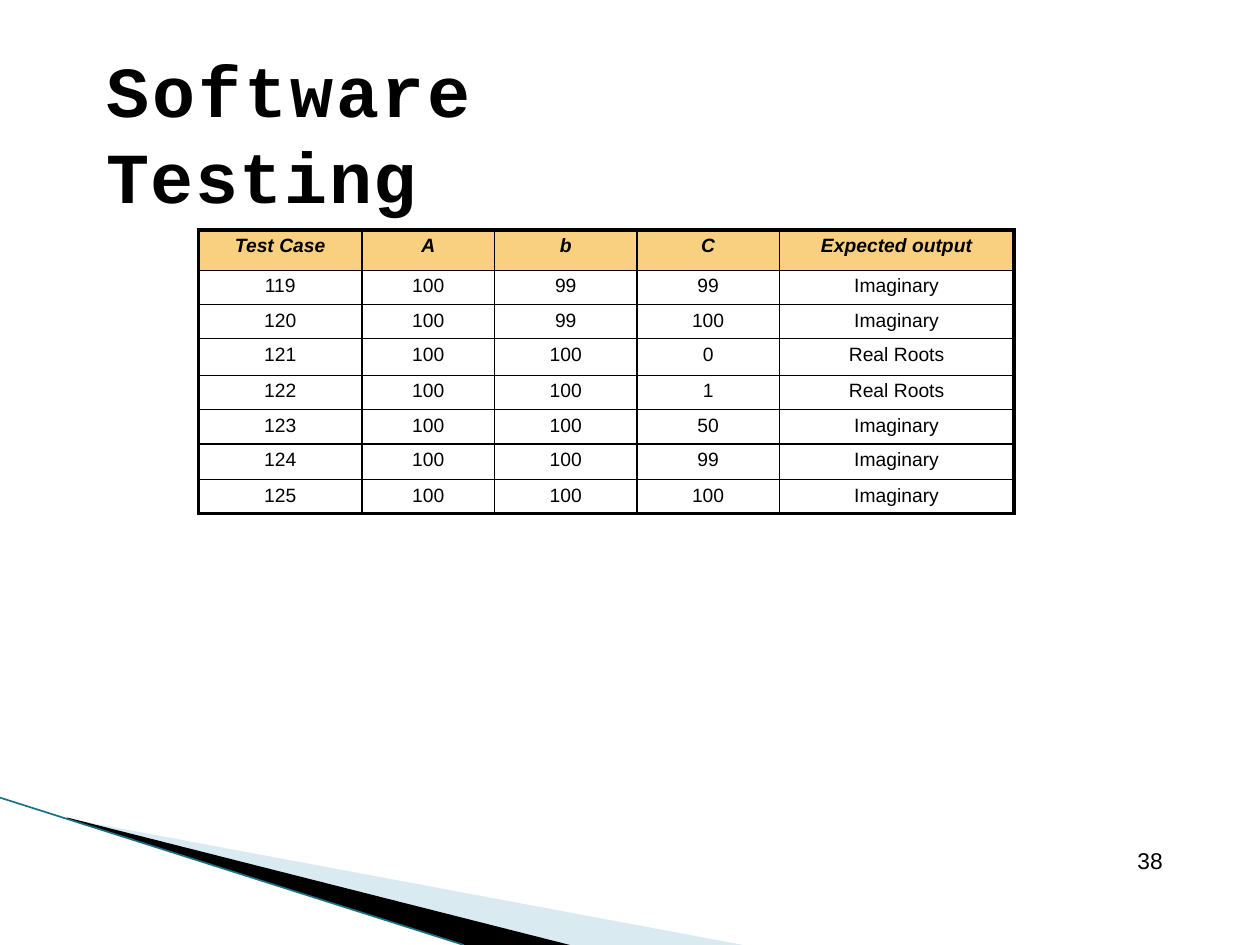
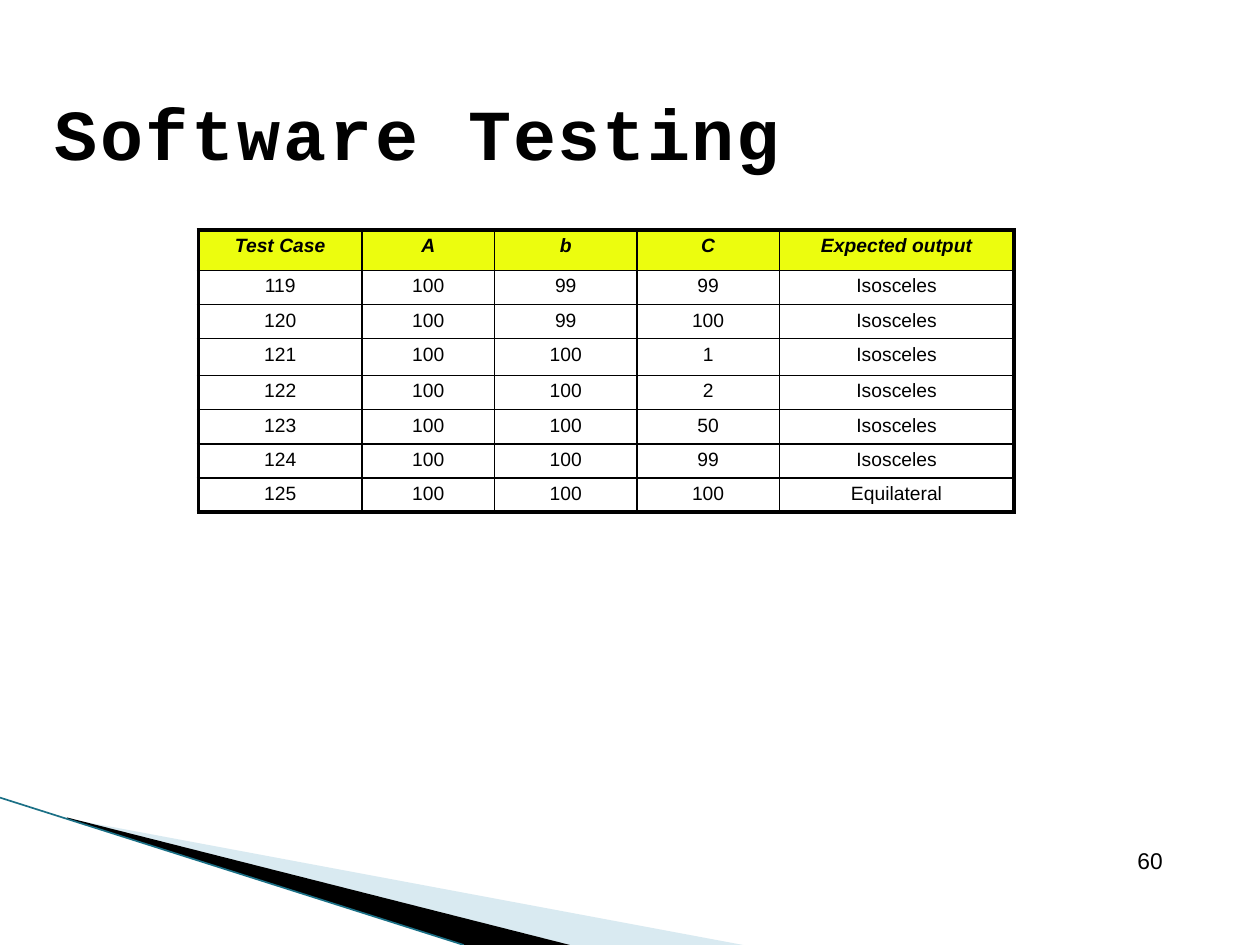
from dataclasses import dataclass

from lxml.etree import SubElement
from pptx import Presentation
from pptx.dml.color import RGBColor
from pptx.enum.shapes import MSO_CONNECTOR
from pptx.enum.text import MSO_ANCHOR, MSO_AUTO_SIZE, PP_ALIGN
from pptx.oxml.ns import qn
from pptx.shapes.autoshape import Shape
from pptx.slide import Slide
from pptx.table import _Cell
from pptx.util import Cm, Pt

BLACK = RGBColor(0x00, 0x00, 0x00)
PALE_BLUE = RGBColor(0xA0, 0xCB, 0xDC)
TEAL = RGBColor(0x1B, 0x70, 0x86)
AMBER = RGBColor(0xF8, 0xD0, 0x7F)
YELLOW = RGBColor(0xEC, 0xFD, 0x0E)

TITLE_FONT = "Courier New"
BODY_FONT = "Arial"
THIN, THICK = Pt(1), Pt(2.25)

TITLE_RIGHT = 16.61
COLUMN_WIDTHS = (3.3, 2.67, 2.87, 2.87, 4.73)
HEADINGS = ("Test Case", "A", "b", "C", "Expected output")
FIRST_CASE = 119


@dataclass(frozen=True)
class Wedge:
    frame: tuple[float, float, float, float]
    points: tuple[tuple[float, float], ...]
    color: RGBColor
    opacity: int = 100


@dataclass(frozen=True)
class TestPage:
    number: int
    title_left: float
    header_color: RGBColor
    row_heights: tuple[float, ...]
    cases: tuple[tuple[int, int, int, str], ...]


WEDGES = (
    Wedge((1.98, 13.89, 10.57, 4.01),
          ((1.4, 16.51), (14.98, 19.05), (11.48, 19.05), (1.4, 16.5)), PALE_BLUE, 40),
    Wedge((-0.15, 16.08, 10.57, 2.34),
          ((1.35, 16.48), (11.49, 19.05), (9.35, 19.05), (1.37, 16.51)), BLACK),
)

PAGES = (
    TestPage(38, 2.14, AMBER, (0.81, 0.69, 0.69, 0.74, 0.69, 0.69, 0.72, 0.69), (
        (100, 99, 99, "Imaginary"),
        (100, 99, 100, "Imaginary"),
        (100, 100, 0, "Real Roots"),
        (100, 100, 1, "Real Roots"),
        (100, 100, 50, "Imaginary"),
        (100, 100, 99, "Imaginary"),
        (100, 100, 100, "Imaginary"),
    )),
    TestPage(60, 1.09, YELLOW, (0.81, 0.69, 0.69, 0.74, 0.69, 0.69, 0.69, 0.69), (
        (100, 99, 99, "Isosceles"),
        (100, 99, 100, "Isosceles"),
        (100, 100, 1, "Isosceles"),
        (100, 100, 2, "Isosceles"),
        (100, 100, 50, "Isosceles"),
        (100, 100, 99, "Isosceles"),
        (100, 100, 100, "Equilateral"),
    )),
)


def set_frame(shape: Shape, frame: tuple[float, float, float, float]) -> None:
    """Give a freeform a new frame while its outline stays in place."""
    left, top, width, height = (Cm(length) for length in frame)
    outline = next(shape._element.iter(qn("a:path")))
    outline.set("w", str(width))
    outline.set("h", str(height))
    for point in outline.iter(qn("a:pt")):
        point.set("x", str(int(point.get("x")) + shape.left - left))
        point.set("y", str(int(point.get("y")) + shape.top - top))
    shape.left, shape.top, shape.width, shape.height = left, top, width, height


def add_wedge(page: Slide, wedge: Wedge) -> None:
    points = [(Cm(x), Cm(y)) for x, y in wedge.points]
    builder = page.shapes.build_freeform(*points[0])
    builder.add_line_segments(points[1:])
    shape = builder.convert_to_shape()
    set_frame(shape, wedge.frame)
    shape.shadow.inherit = False
    shape.line.fill.background()
    shape.fill.solid()
    shape.fill.fore_color.rgb = wedge.color
    if wedge.opacity < 100:
        color = shape._element.spPr.find(qn("a:solidFill"))[0]
        SubElement(color, qn("a:alpha"), val=str(wedge.opacity * 1000))


def add_corner(page: Slide) -> None:
    """Draw the wedges and the thin edge line in the lower left corner."""
    for wedge in WEDGES:
        add_wedge(page, wedge)
    edge = page.shapes.add_connector(
        MSO_CONNECTOR.STRAIGHT, Cm(0), Cm(16.08), Cm(9.35), Cm(19.05))
    edge.line.color.rgb = TEAL
    edge.line.width = Pt(0.95)
    SubElement(edge._element.spPr, qn("a:effectLst"))


def add_title(page: Slide, left: float) -> None:
    box = page.shapes.add_textbox(Cm(left), Cm(1.75), Cm(TITLE_RIGHT - left), Cm(1.78))
    frame = box.text_frame
    frame.word_wrap = True
    frame.auto_size = MSO_AUTO_SIZE.SHAPE_TO_FIT_TEXT
    frame.vertical_anchor = MSO_ANCHOR.MIDDLE
    frame.margin_left = frame.margin_right = frame.margin_bottom = 0
    frame.margin_top = Cm(0.05)
    para = frame.paragraphs[0]
    para.font.name = TITLE_FONT
    para.font.size = Pt(41)
    para.font.bold = True
    para.font.color.rgb = BLACK
    for text, spacing in (("Software ", 170), ("Testing", 90)):
        span = para.add_run()
        span.text = text
        span._r.get_or_add_rPr().set("spc", str(spacing))


def add_page_number(page: Slide, number: int) -> None:
    box = page.shapes.add_textbox(Cm(22.83), Cm(17.15), Cm(0.69), Cm(0.46))
    frame = box.text_frame
    frame.word_wrap = True
    frame.margin_left = Cm(0.1)
    frame.margin_top = frame.margin_right = frame.margin_bottom = 0
    para = frame.paragraphs[0]
    para.text = str(number)
    para.line_spacing = Pt(13.2)
    para.font.name = BODY_FONT
    para.font.size = Pt(13)
    para.font.color.rgb = BLACK


def set_border(cell: _Cell, side: str, width: int) -> None:
    border = SubElement(cell._tc.get_or_add_tcPr(), qn(f"a:ln{side}"), w=str(width))
    fill = SubElement(border, qn("a:solidFill"))
    SubElement(fill, qn("a:srgbClr"), val=str(BLACK))


def fill_cell(cell: _Cell, text: str, is_header: bool) -> None:
    cell.margin_left = cell.margin_right = cell.margin_top = cell.margin_bottom = 0
    para = cell.text_frame.paragraphs[0]
    para.text = text
    para.alignment = PP_ALIGN.CENTER
    para.line_spacing = Pt(15.2)
    para.font.name = BODY_FONT
    para.font.size = Pt(11)
    para.font.bold = para.font.italic = is_header
    para.font.color.rgb = BLACK


def add_case_table(page: Slide, content: TestPage) -> None:
    rows = [HEADINGS] + [
        (number, *case) for number, case in enumerate(content.cases, FIRST_CASE)]
    last_row, last_column = len(rows) - 1, len(HEADINGS) - 1
    table = page.shapes.add_table(
        len(rows), len(HEADINGS), Cm(4), Cm(4.64),
        Cm(sum(COLUMN_WIDTHS)), Cm(sum(content.row_heights))).table
    table.first_row = table.horz_banding = False
    for column, width in zip(table.columns, COLUMN_WIDTHS):
        column.width = Cm(width)
    for row, height in zip(table.rows, content.row_heights):
        row.height = Cm(height)
    for i, values in enumerate(rows):
        for j, value in enumerate(values):
            cell = table.cell(i, j)
            fill_cell(cell, str(value), i == 0)
            outer_sides = {"L": j == 0, "R": j == last_column,
                           "T": i == 0, "B": i == last_row}
            for side, is_outer in outer_sides.items():
                set_border(cell, side, THICK if is_outer else THIN)
            if i == 0:
                cell.fill.solid()
                cell.fill.fore_color.rgb = content.header_color
            else:
                cell.fill.background()


def main() -> None:
    deck = Presentation()
    deck.slide_width, deck.slide_height = Cm(25.4), Cm(19.05)
    for content in PAGES:
        page = deck.slides.add_slide(deck.slide_layouts[6])
        add_corner(page)
        add_title(page, content.title_left)
        add_case_table(page, content)
        add_page_number(page, content.number)
    deck.save("out.pptx")


if __name__ == "__main__":
    main()
